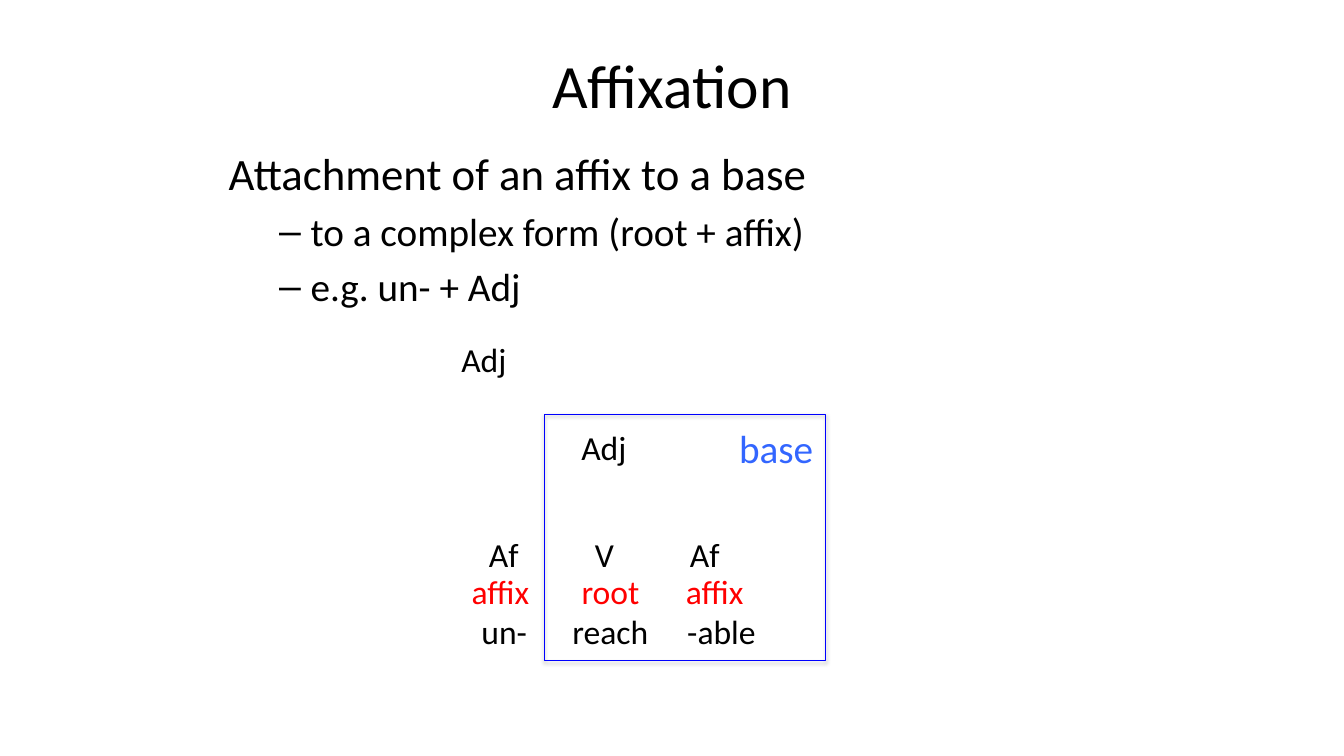
from dataclasses import dataclass

import lxml.etree
import pptx
import pptx.dml.color
import pptx.enum.shapes
import pptx.enum.text
import pptx.oxml.ns
import pptx.util

Pt = pptx.util.Pt
ALIGN = pptx.enum.text.PP_ALIGN
qn = pptx.oxml.ns.qn

COLORS = {"text": "000000", "label": "FF0000", "base": "3366FF",
          "frame": "0000FF", "paper": "FFFFFF"}


@dataclass
class Row:
    words: tuple
    tabs: tuple
    color: str = "text"


@dataclass
class Band:
    """A white strip of the tree holding rows of aligned words."""
    place: tuple
    rows: tuple


@dataclass
class Node:
    word: str
    place: tuple
    size: float = 24
    color: str = "text"


BANDS = (
    Band((269.3, 403.9, 329.8, 65.5), (
        Row(("affix", "root", "affix"), (60.5, 139, 213.5), "label"),
        Row(("un-", "reach", "-able"), (67.5, 132.5, 214.5)))),
    Band((275.8, 378, 311, 36), (
        Row(("Af", "V", "Af"), (66.4, 142.1, 209.9)),)),
)
NODES = (
    Node("Adj", (388.8, 301.7, 85, 36)),
    Node("Adj", (303.1, 238.3, 85, 36)),
)
BASE = Node("base", (512.6, 299.5, 83.5, 41), 28, "base")
FRAME = (388.8, 295.9, 200.9, 175.7)
BODY = (
    ("Attachment of an affix to a base", 0, 32),
    ("to a complex form (root + affix)", 1, 28),
    ("e.g. un- + Adj", 1, 28),
)


def rgb(name: str):
    return pptx.dml.color.RGBColor.from_string(COLORS[name])


def write(para, text: str, *, size: float = 24, color: str = "text", align=ALIGN.LEFT) -> None:
    para.alignment = align
    span = para.add_run()
    span.text = text
    span.font.size = Pt(size)
    span.font.name = "Calibri"
    span.font.color.rgb = rgb(color)


def move(box, place: tuple) -> None:
    box.left, box.top, box.width, box.height = map(Pt, place)


def add_rectangle(page, place: tuple):
    box = page.shapes.add_shape(pptx.enum.shapes.MSO_SHAPE.RECTANGLE, *map(Pt, place))
    box.shadow.inherit = False
    return box


def set_tabs(para, stops: tuple) -> None:
    tab_list = lxml.etree.SubElement(para._p.get_or_add_pPr(), qn("a:tabLst"))
    for stop in stops:
        lxml.etree.SubElement(tab_list, qn("a:tab"), pos=str(int(Pt(stop))), algn="l")


def draw_band(page, band: Band) -> None:
    box = add_rectangle(page, band.place)
    box.fill.solid()
    box.fill.fore_color.rgb = rgb("paper")
    box.line.fill.background()
    frame = box.text_frame
    frame.word_wrap = True
    frame.vertical_anchor = pptx.enum.text.MSO_ANCHOR.TOP
    for index, row in enumerate(band.rows):
        para = frame.add_paragraph() if index else frame.paragraphs[0]
        set_tabs(para, row.tabs)
        write(para, "".join("\t" + word for word in row.words), color=row.color)


def draw_node(page, node: Node) -> None:
    box = page.shapes.add_textbox(*map(Pt, node.place))
    box.text_frame.word_wrap = True
    write(box.text_frame.paragraphs[0], node.word, size=node.size,
          color=node.color, align=ALIGN.CENTER)


def draw_frame(page) -> None:
    box = add_rectangle(page, FRAME)
    box.fill.background()
    box.line.color.rgb = rgb("frame")
    box.line.width = Pt(0.75)
    shadow = lxml.etree.SubElement(
        box._element.spPr.find(qn("a:effectLst")), qn("a:outerShdw"),
        blurRad=str(int(Pt(3.1))), dist=str(int(Pt(1.8))), dir="5400000", rotWithShape="0")
    shade = lxml.etree.SubElement(shadow, qn("a:srgbClr"), val=COLORS["text"])
    lxml.etree.SubElement(shade, qn("a:alpha"), val="35000")


def fill_title(page) -> None:
    title = page.shapes.title
    move(title, (48, 21.6, 864, 76.3))
    title.text_frame.vertical_anchor = pptx.enum.text.MSO_ANCHOR.MIDDLE
    write(title.text_frame.paragraphs[0], "Affixation", size=44, align=ALIGN.CENTER)


def fill_body(page) -> None:
    body = page.placeholders[1]
    move(body, (156.2, 100.8, 648, 368.6))
    frame = body.text_frame
    for index, (text, level, size) in enumerate(BODY):
        para = frame.add_paragraph() if index else frame.paragraphs[0]
        para.level = level
        para.space_before = Pt(0.2 * size if index else 0)
        if level == 0:
            properties = para._p.get_or_add_pPr()
            properties.set("marL", "0")
            properties.set("indent", "0")
            lxml.etree.SubElement(properties, qn("a:buNone"))
        write(para, text, size=size)


def main() -> None:
    deck = pptx.Presentation()
    deck.slide_width, deck.slide_height = Pt(960), Pt(540)
    page = deck.slides.add_slide(deck.slide_layouts[1])
    fill_title(page)
    fill_body(page)
    for band in BANDS:
        draw_band(page, band)
    for node in NODES:
        draw_node(page, node)
    draw_frame(page)
    draw_node(page, BASE)
    deck.save("out.pptx")


if __name__ == "__main__":
    main()
